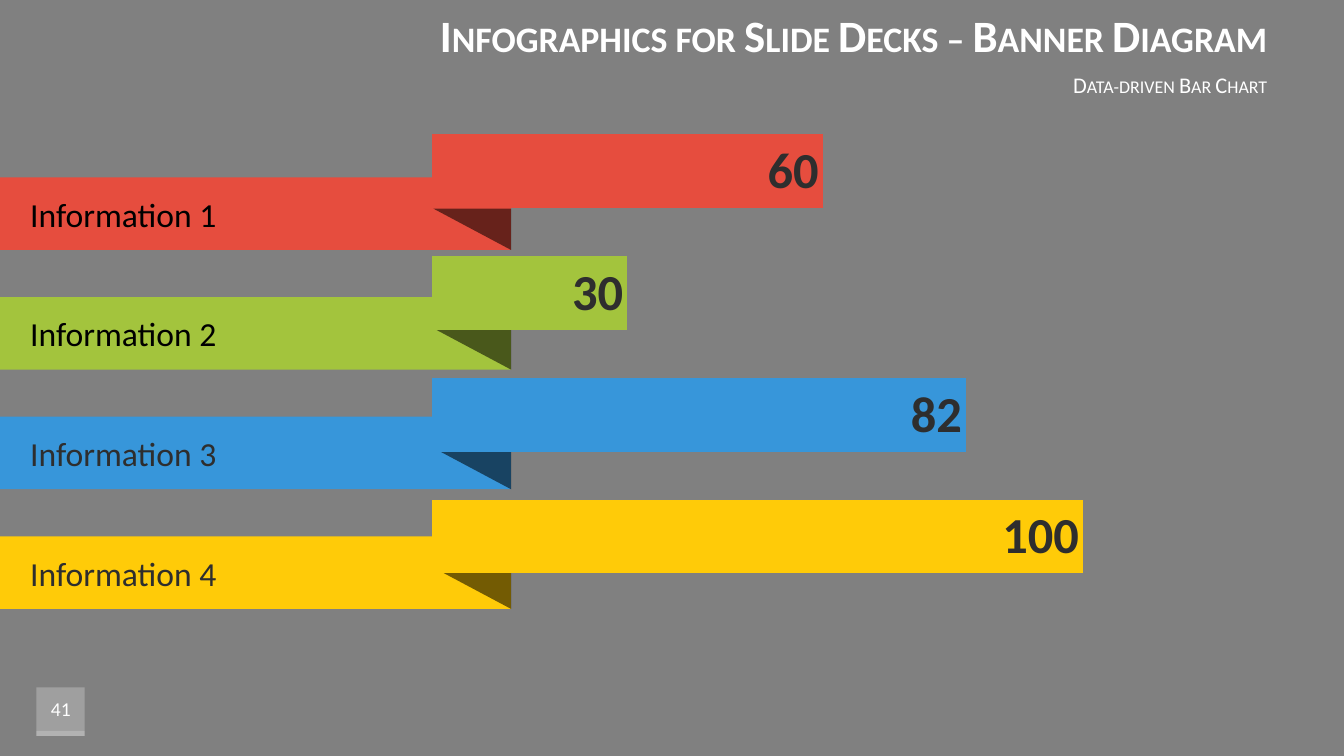
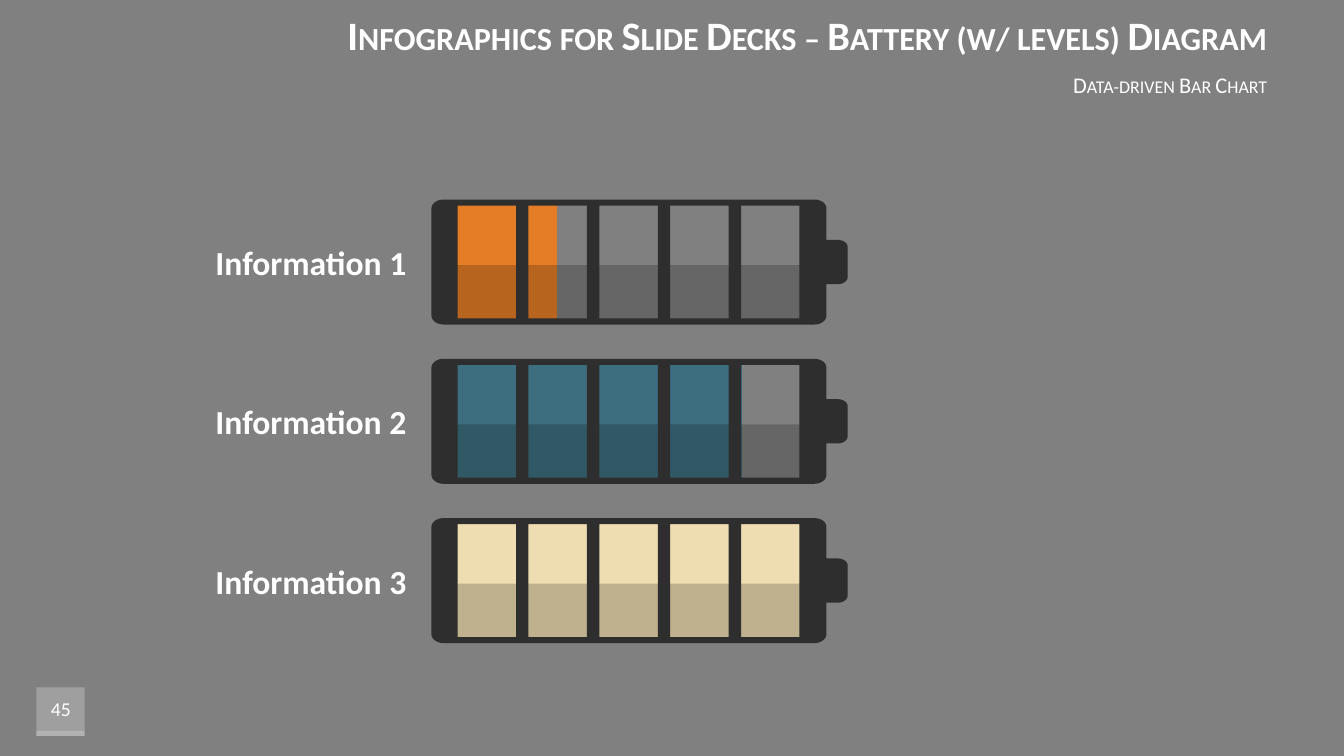
"""Build two data-driven bar chart slides: folded banners and batteries with levels."""
import math

from lxml import etree
from pptx import Presentation
from pptx.chart.data import CategoryChartData
from pptx.dml.color import RGBColor
from pptx.enum.chart import XL_CHART_TYPE, XL_LABEL_POSITION
from pptx.enum.shapes import MSO_SHAPE
from pptx.enum.text import MSO_ANCHOR, PP_ALIGN
from pptx.oxml.ns import qn
from pptx.util import Inches, Pt

RECTANGLE = MSO_SHAPE.RECTANGLE
TRIANGLE = MSO_SHAPE.RIGHT_TRIANGLE
BAR_CLUSTERED = XL_CHART_TYPE.BAR_CLUSTERED
INSIDE_END = XL_LABEL_POSITION.INSIDE_END
MIDDLE = MSO_ANCHOR.MIDDLE
LEFT, CENTER, RIGHT = PP_ALIGN.LEFT, PP_ALIGN.CENTER, PP_ALIGN.RIGHT

FONT = "Calibri"
WHITE = RGBColor(0xFF, 0xFF, 0xFF)
BLACK = RGBColor(0x00, 0x00, 0x00)
GRAY = RGBColor(0x80, 0x80, 0x80)
CHARCOAL = RGBColor(0x2E, 0x2E, 0x2E)
RED = RGBColor(0xE6, 0x4D, 0x3E)
GREEN = RGBColor(0xA3, 0xC4, 0x3D)
BLUE = RGBColor(0x37, 0x96, 0xDA)
YELLOW = RGBColor(0xFF, 0xCB, 0x08)
ORANGE = RGBColor(0xE5, 0x7D, 0x26)
TEAL = RGBColor(0x3C, 0x6E, 0x7F)
SAND = RGBColor(0xEF, 0xDD, 0xB2)

COLUMNS, ROWS = 133.33, 75
SUBTITLE = "Data-driven Bar Chart"

BANNERS = [
    ("Information 1", 60, RED, BLACK),
    ("Information 2", 30, GREEN, BLACK),
    ("Information 3", 82, BLUE, CHARCOAL),
    ("Information 4", 100, YELLOW, CHARCOAL),
]
BANNER_TOP, BANNER_STEP = 17.6, 11.87
BANNER_WIDTH, BANNER_HEIGHT = 50.7, 7.2
FOLD_WIDTH, FOLD_HEIGHT = 7.7, 4.1

BATTERIES = [
    ("Information 1", 30, ORANGE),
    ("Information 2", 82, TEAL),
    ("Information 3", 100, SAND),
]
BATTERY_LEFT, BATTERY_TOP, BATTERY_STEP = 42.8, 19.8, 15.8
BATTERY_WIDTH, BATTERY_HEIGHT = 39.2, 12.4
CELL_COUNT, CELL_STEP, CELL_WIDTH, CELL_HEIGHT = 5, 7.03, 5.8, 11.2


def grid(units):
    """Turn grid columns or rows, ten to the inch, into a length."""
    return Inches(units / 10)


def place(left, top, width, height):
    """Turn a grid area into the four lengths of a shape."""
    return [grid(units) for units in (left, top, width, height)]


def write(shape, text, size=24, color=WHITE, bold=False, align=LEFT,
          small_caps=False, wrap=True, inset=1):
    """Write one formatted line into a shape."""
    frame = shape.text_frame
    frame.word_wrap = wrap
    frame.vertical_anchor = MIDDLE
    frame.margin_left = grid(inset)
    para = frame.paragraphs[0]
    para.alignment = align
    span = para.add_run()
    span.text = text
    span.font.name = FONT
    span.font.size = Pt(size)
    span.font.bold = bold
    span.font.color.rgb = color
    if small_caps:
        span._r.get_or_add_rPr().set("cap", "small")


def add_text(page, area, text, **style):
    """Add a text box with one formatted line."""
    write(page.shapes.add_textbox(*place(*area)), text, **style)


def paint(shape, color, opacity=100):
    """Give a shape a plain fill without line or shadow."""
    shape.shadow.inherit = False
    shape.line.fill.background()
    shape.fill.solid()
    shape.fill.fore_color.rgb = color
    if opacity < 100:
        tone = shape.element.spPr.find(".//" + qn("a:srgbClr"))
        etree.SubElement(tone, qn("a:alpha"), val=str(opacity * 1000))


def add_block(page, area, color, opacity=100, kind=RECTANGLE):
    """Add a filled preset shape."""
    shape = page.shapes.add_shape(kind, *place(*area))
    paint(shape, color, opacity)
    return shape


def clear_background(parent):
    """Make the background of a chart part transparent."""
    look = etree.Element(qn("c:spPr"))
    etree.SubElement(look, qn("a:noFill"))
    etree.SubElement(etree.SubElement(look, qn("a:ln")), qn("a:noFill"))
    text_style = parent.find(qn("c:txPr"))
    if text_style is None:
        parent.append(look)
    else:
        text_style.addprevious(look)


def set_plot_area(chart, shares):
    """Fix the inner plot area as shares of the chart and clear its fill."""
    plot_area = chart.element.find(".//" + qn("c:plotArea"))
    for old_layout in plot_area.findall(qn("c:layout")):
        plot_area.remove(old_layout)
    layout = etree.Element(qn("c:layout"))
    manual = etree.SubElement(layout, qn("c:manualLayout"))
    settings = [("layoutTarget", "inner"), ("xMode", "edge"), ("yMode", "edge")]
    for name, value in settings + list(zip("xywh", shares)):
        etree.SubElement(manual, qn("c:" + name), val=str(value))
    plot_area.insert(0, layout)
    clear_background(plot_area)
    clear_background(chart.element)


def add_bars(page, area, bars, gap, plot_shares, labels=False):
    """Add a bar chart of (value, color) pairs listed from top to bottom."""
    bars = bars[::-1]
    data = CategoryChartData()
    data.categories = [str(number + 1) for number in range(len(bars))]
    data.add_series("Series 1", [value for value, _ in bars])
    chart = page.shapes.add_chart(BAR_CLUSTERED, *place(*area), data).chart
    chart.has_legend = False
    chart.has_title = False
    chart.font.name = FONT
    chart.font.size = Pt(10)
    chart.font.color.rgb = BLACK
    chart.category_axis.visible = False
    scale = chart.value_axis
    scale.visible = False
    scale.has_major_gridlines = False
    scale.minimum_scale, scale.maximum_scale = 0, 100
    plot = chart.plots[0]
    plot.gap_width = gap
    plot.vary_by_categories = False
    series = plot.series[0]
    for number, (_, color) in enumerate(bars):
        fill = series.points[number].format.fill
        fill.solid()
        fill.fore_color.rgb = color
    if labels:
        marks = series.data_labels
        marks.show_value = True
        marks.position = INSIDE_END
        marks.font.name = FONT
        marks.font.size = Pt(36)
        marks.font.bold = True
        marks.font.color.rgb = CHARCOAL
    set_plot_area(chart, plot_shares)


def box_points(left, top, width, height):
    """List the corners of a rectangle."""
    right, bottom = left + width, top + height
    return [(left, top), (right, top), (right, bottom), (left, bottom)]


def arc_points(center_x, center_y, radius_x, radius_y, start):
    """List points on a quarter arc that begins at an angle in degrees."""
    angles = [math.radians(start + 15 * step) for step in range(7)]
    return [(center_x + radius_x * math.cos(angle),
             center_y + radius_y * math.sin(angle)) for angle in angles]


def battery_outline(top):
    """List the outline of a rounded battery with its terminal."""
    left, right = BATTERY_LEFT, BATTERY_LEFT + BATTERY_WIDTH
    bottom = top + BATTERY_HEIGHT
    tip, tip_top, tip_bottom = right + 2.1, top + 4, top + 8.4
    return (
        arc_points(left + 1.2, top + 0.9, 1.2, 0.9, 180)
        + arc_points(right - 1.2, top + 0.9, 1.2, 0.9, 270)
        + [(right, tip_top)]
        + arc_points(tip - 1, tip_top + 0.7, 1, 0.7, 270)
        + arc_points(tip - 1, tip_bottom - 0.7, 1, 0.7, 0)
        + [(right, tip_bottom)]
        + arc_points(right - 1.2, bottom - 0.9, 1.2, 0.9, 0)
        + arc_points(left + 1.2, bottom - 0.9, 1.2, 0.9, 90)
    )


def add_battery(page, top):
    """Add a battery frame with open cells over a shade on its lower half."""
    add_block(page, (BATTERY_LEFT + 0.7, top + 6.5, 37.4, 5.6), BLACK, 20)
    contours = [battery_outline(top)] + [
        box_points(BATTERY_LEFT + 2.6 + cell * CELL_STEP, top + 0.6,
                   CELL_WIDTH, CELL_HEIGHT)
        for cell in range(CELL_COUNT)
    ]
    builder = None
    for contour in contours:
        start, *others = [(grid(x), grid(y)) for x, y in contour]
        if builder is None:
            builder = page.shapes.build_freeform(*start)
        else:
            builder.move_to(*start)
        builder.add_line_segments(others, close=True)
    paint(builder.convert_to_shape(), CHARCOAL)


def add_page(deck, title, number, title_size):
    """Add a page with title, subtitle and numbered plate."""
    page = deck.slides.add_slide(deck.slide_layouts[6])
    page.background.fill.solid()
    page.background.fill.fore_color.rgb = GRAY
    add_block(page, (3.6, 68.2, 4.8, 4.8), WHITE, 25)
    add_block(page, (3.6, 72.5, 4.8, 0.5), WHITE, 20)
    heading = {"align": RIGHT, "small_caps": True}
    add_text(page, (22.6, 6.8, 104.1, 3.1), SUBTITLE, size=16, **heading)
    add_text(page, (22.6, 0, 104.1, 6.8), title, size=title_size, bold=True, **heading)
    add_text(page, (2.9, 68.2, 6.3, 4.3), str(number), size=14, align=CENTER)
    return page


def build_banners(deck):
    """Build the slide of folded banners."""
    page = add_page(deck, "Infographics for Slide Decks – Banner Diagram", 41, 32)
    for row, (label, _, color, text_color) in enumerate(BANNERS):
        top = BANNER_TOP + row * BANNER_STEP
        banner = add_block(page, (0, top, BANNER_WIDTH, BANNER_HEIGHT), color)
        write(banner, label, color=text_color, inset=3)
        fold = add_block(page, (BANNER_WIDTH - FOLD_WIDTH, top + BANNER_HEIGHT - FOLD_HEIGHT,
                                FOLD_WIDTH, FOLD_HEIGHT), BLACK, 55, TRIANGLE)
        fold.rotation = 180
    bars = [(value, color) for _, value, color, _ in BANNERS]
    add_bars(page, (41.5, 9.9, 67.3, 50.4), bars, 65, (0.02, 0.02, 0.96, 0.96), labels=True)


def build_batteries(deck):
    """Build the slide of batteries with levels."""
    page = add_page(deck, "Infographics for Slide Decks – Battery (w/ levels) Diagram", 45, 28.8)
    bars = [(value, color) for _, value, color in BATTERIES]
    add_bars(page, (41.5, 16.7, 67.3, 50.4), bars, 35, (0.047, 0.03, 0.525, 0.939))
    for row, (label, _, _) in enumerate(BATTERIES):
        top = BATTERY_TOP + row * BATTERY_STEP
        add_text(page, (20.3, top + 3.7, 21.1, 5), label, bold=True, align=CENTER, wrap=False)
        add_battery(page, top)


def main():
    """Build and save the deck."""
    deck = Presentation()
    deck.slide_width, deck.slide_height = grid(COLUMNS), grid(ROWS)
    build_banners(deck)
    build_batteries(deck)
    deck.save("out.pptx")


if __name__ == "__main__":
    main()
